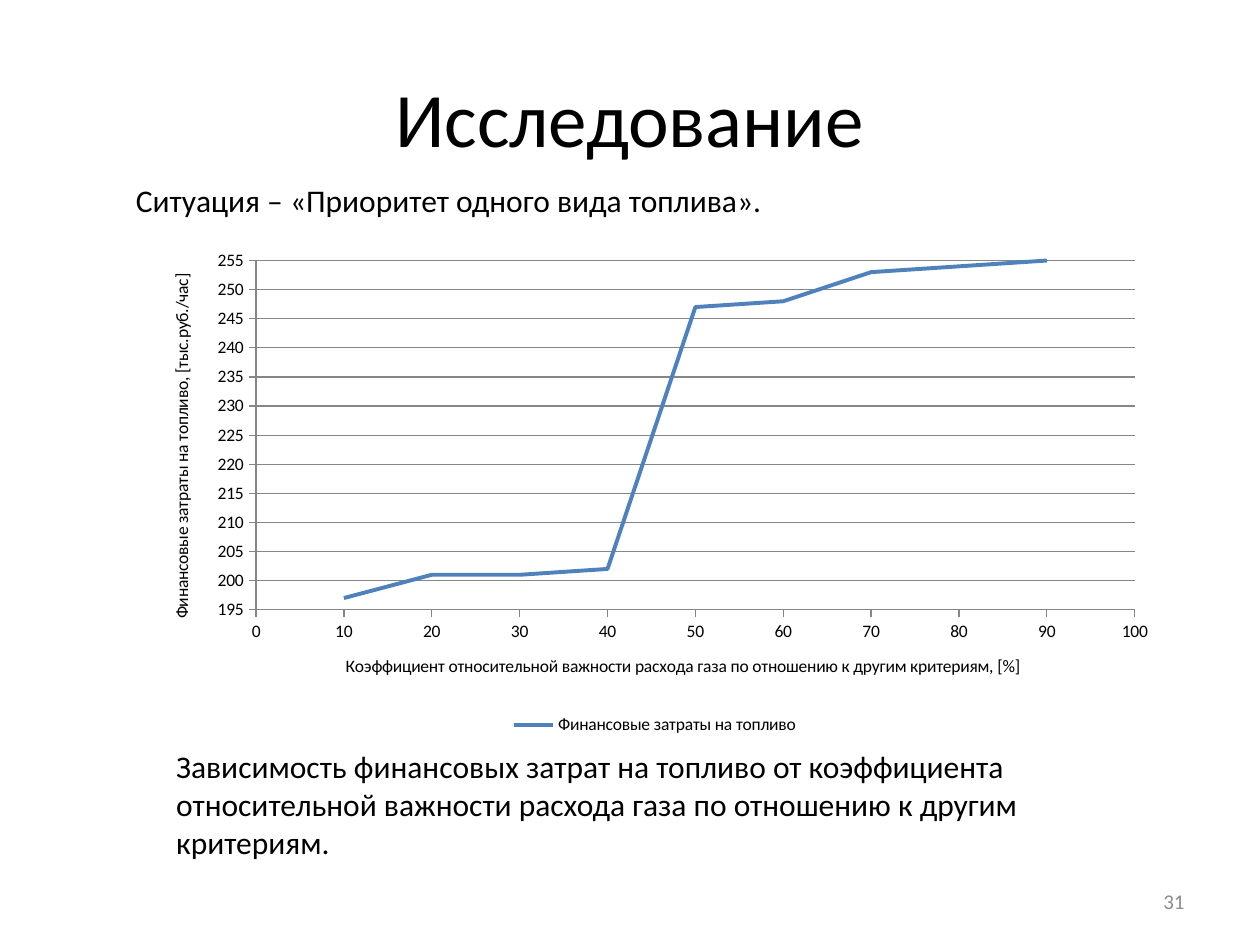
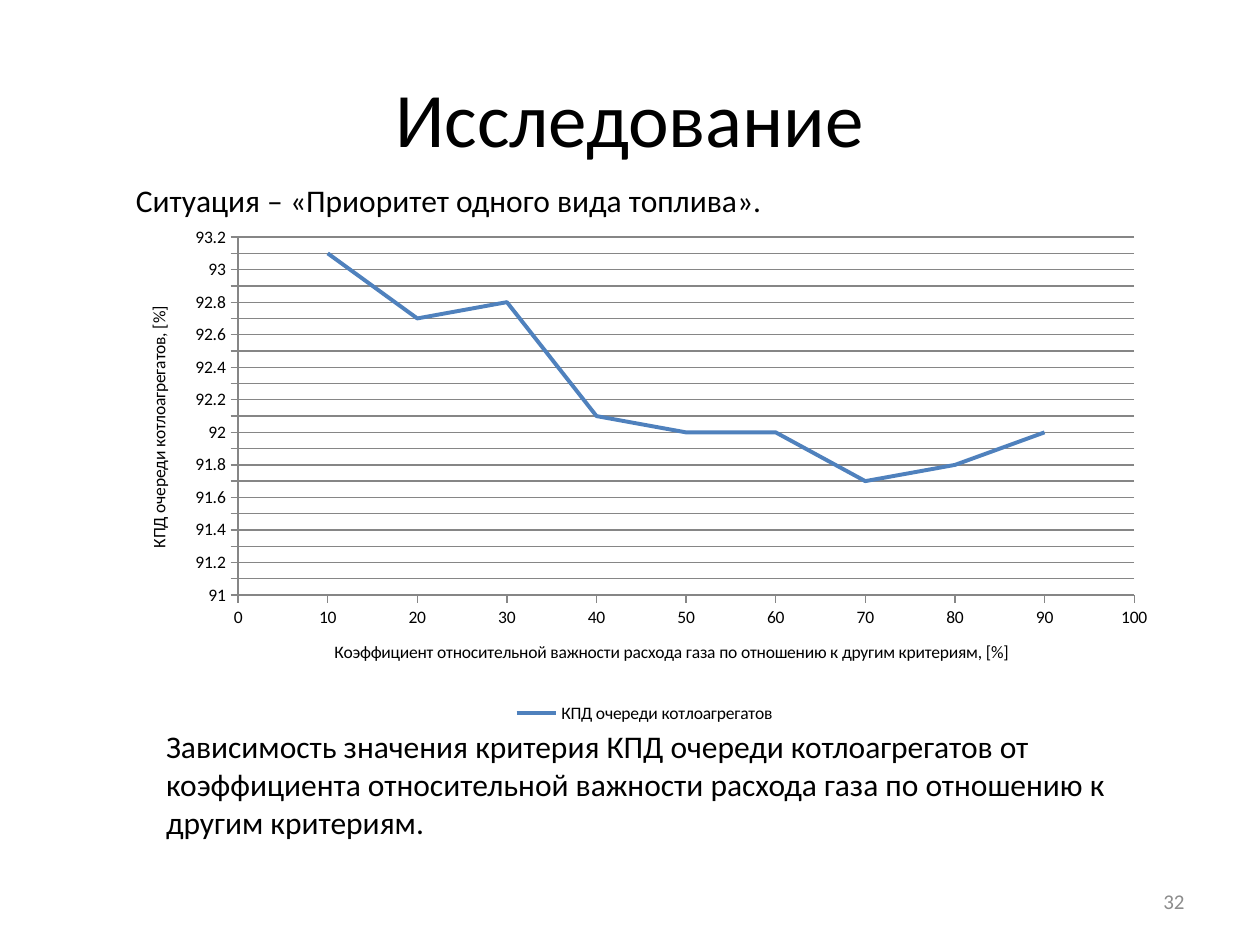
from lxml.etree import SubElement
from pptx import Presentation
from pptx.chart.data import XyChartData
from pptx.dml.color import RGBColor
from pptx.enum.chart import (XL_CHART_TYPE as Kind, XL_LEGEND_POSITION as Spot,
                             XL_TICK_MARK as Tick)
from pptx.enum.text import MSO_ANCHOR as Anchor, MSO_AUTO_SIZE as Fit, PP_ALIGN as Align
from pptx.oxml.ns import qn
from pptx.util import Inches, Pt

# Shared style
BLACK = RGBColor(0x00, 0x00, 0x00)
GREY = RGBColor(0x8C, 0x8C, 0x8C)
RULE = RGBColor(0x86, 0x86, 0x86)
BLUE = RGBColor(0x4F, 0x81, 0xBD)
FACE = "Calibri"
TITLE = "Исследование"
CASE = "Ситуация – «Приоритет одного вида топлива»."
XNAME = "Коэффициент относительной важности расхода газа по отношению к другим критериям, [%]"
PLOT = {"x": 0.11, "y": 0.04, "w": 0.86, "h": 0.7}


class Deck:
    """Holds the style and the current slide."""

    def __init__(self):
        self.prs = Presentation()
        self.prs.slide_width, self.prs.slide_height = Inches(10), Inches(7.5)
        self.slide = None

    def style(self, font, size, color=BLACK):
        font.name, font.size, font.bold = FACE, Pt(size), False
        font.color.rgb = color

    def page(self, num):
        self.slide = self.prs.slides.add_slide(self.prs.slide_layouts[5])
        self.head()
        self.text(CASE, (0.98, 1.39, 8.27, 0.4))
        self.text(str(num), (7.17, 6.95, 2.33, 0.4), 12, GREY, Align.RIGHT, Anchor.MIDDLE)

    def head(self):
        box = self.slide.shapes.title
        box.left, box.top, box.width, box.height = map(Inches, (0.5, 0.3, 9, 1.25))
        frame = box.text_frame
        frame.text, frame.vertical_anchor = TITLE, Anchor.MIDDLE
        para = frame.paragraphs[0]
        para.alignment = Align.CENTER
        self.style(para.font, 44)

    def text(self, words, area, size=18, color=BLACK, align=Align.LEFT, anchor=Anchor.TOP):
        frame = self.slide.shapes.add_textbox(*map(Inches, area)).text_frame
        frame.text, frame.word_wrap, frame.vertical_anchor = words, True, anchor
        frame.auto_size = Fit.SHAPE_TO_FIT_TEXT if anchor == Anchor.TOP else Fit.NONE
        para = frame.paragraphs[0]
        para.alignment = align
        self.style(para.font, size, color)

    def axis(self, axis, name, low, high, step, grid):
        axis.minimum_scale, axis.maximum_scale, axis.major_unit = low, high, step
        axis.major_tick_mark, axis.minor_tick_mark = Tick.OUTSIDE, Tick.NONE
        axis.has_major_gridlines = grid
        lines = [axis.format.line]
        if grid:
            lines.append(axis.major_gridlines.format.line)
        for line in lines:
            line.color.rgb, line.width = RULE, Pt(0.75)
        frame = axis.axis_title.text_frame
        frame.text = name
        self.style(frame.paragraphs[0].font, 10)

    def chart(self, area, name, unit, vals, scale):
        data = XyChartData()
        row = data.add_series(name)
        for i, val in enumerate(vals, 1):
            row.add_data_point(10 * i, val)
        chart = self.slide.shapes.add_chart(
            Kind.XY_SCATTER_LINES_NO_MARKERS, *map(Inches, area), data).chart
        self.style(chart.font, 10)
        chart.has_title = False
        chart.has_legend = True
        chart.legend.position = Spot.BOTTOM
        chart.legend.include_in_layout = False
        self.axis(chart.category_axis, XNAME, 0, 100, 10, False)
        self.axis(chart.value_axis, f"{name}, [{unit}]", *scale, True)
        plot = chart.plots[0]
        plot.vary_by_categories = False
        line = plot.series[0]
        line.smooth = False
        line.format.line.color.rgb, line.format.line.width = BLUE, Pt(2.25)
        self.place(chart)

    def place(self, chart):
        # Fixed inner plot area, as shares of the chart
        area = chart.plots[0]._element.getparent()
        for old in area.findall(qn("c:layout")):
            area.remove(old)
        lay = SubElement(area, qn("c:layout"))
        area.insert(0, lay)
        man = SubElement(lay, qn("c:manualLayout"))
        rows = [("layoutTarget", "inner"), ("xMode", "edge"), ("yMode", "edge")]
        for tag, val in rows + list(PLOT.items()):
            SubElement(man, qn(f"c:{tag}")).set("val", str(val))


def main():
    deck = Deck()

    # Fuel costs
    deck.page(31)
    deck.chart((1.14, 1.91, 8.11, 3.96), "Финансовые затраты на топливо", "тыс.руб./час",
               (197, 201, 201, 202, 247, 248, 253, 254, 255), (195, 255, 5))
    deck.text("Зависимость финансовых затрат на топливо от коэффициента относительной "
              "важности расхода газа по отношению к другим критериям.",
              (1.3, 5.88, 7.95, 1.01))

    # Boiler efficiency
    deck.page(32)
    deck.chart((0.98, 1.72, 8.27, 4.06), "КПД очереди котлоагрегатов", "%",
               (93.1, 92.7, 92.8, 92.1, 92, 92, 91.7, 91.8, 92), (91, 93.2, 0.1))
    deck.text("Зависимость значения критерия КПД очереди котлоагрегатов от коэффициента "
              "относительной важности расхода газа по отношению к другим критериям.",
              (1.22, 5.72, 7.87, 1.01))

    deck.prs.save("out.pptx")


if __name__ == "__main__":
    main()
